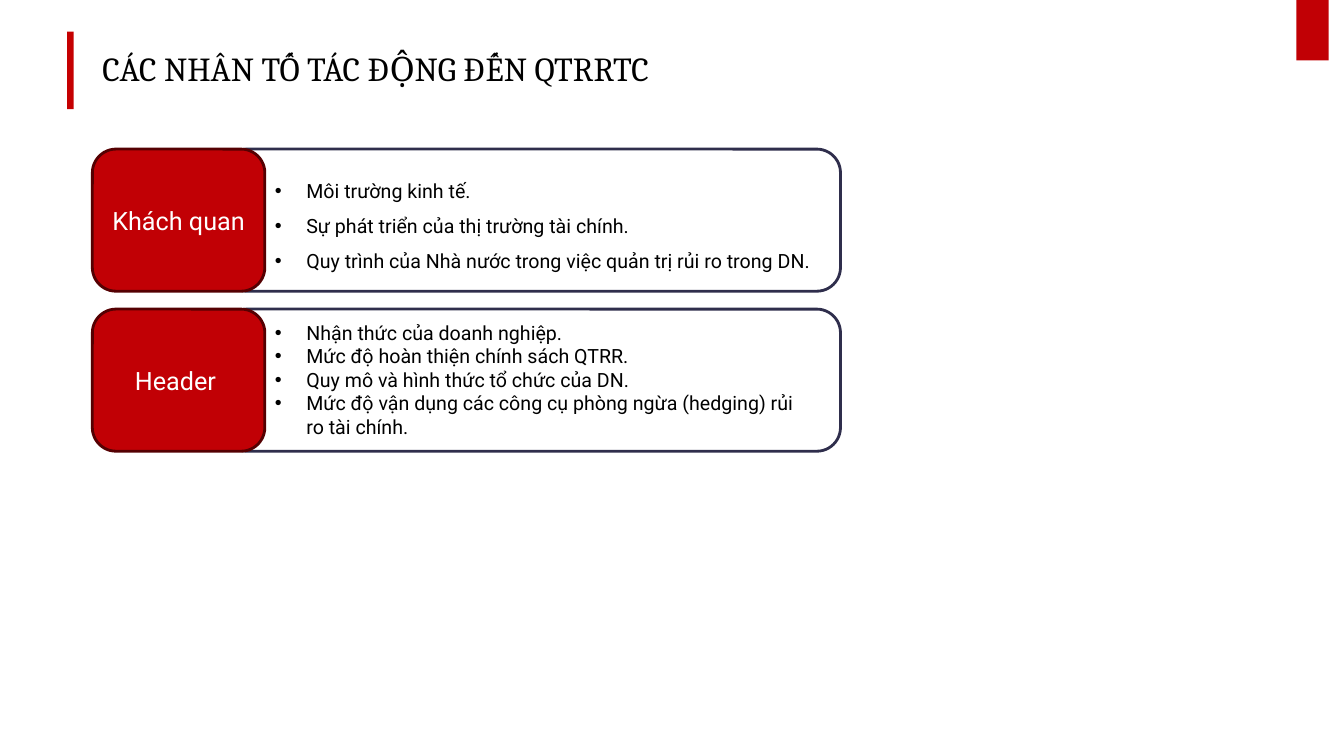
from lxml import etree
from pptx import Presentation
from pptx.dml.color import RGBColor
from pptx.enum.shapes import MSO_SHAPE
from pptx.enum.text import MSO_ANCHOR, PP_ALIGN
from pptx.oxml.ns import qn
from pptx.util import Pt

COLORS = {
    "corner": "C10005", "accent": "C50001", "label_line": "550002",
    "panel_line": "2F2E4C", "white": "FFFFFF", "black": "000000",
}
# Vietnamese tones are stored as combining marks after the base vowel.
VOWELS = "aâeêioôơuư"
TONES = {
    "\u0301": "áấéếíóốớúứ",
    "\u0300": "àầèềìòồờùừ",
    "\u0309": "ảẩẻểỉỏổởủử",
    "\u0323": "ạậẹệịọộợụự",
}
TONE_MARKS = {
    ord(case(toned)): case(vowel) + mark
    for mark, row in TONES.items()
    for vowel, toned in zip(VOWELS, row)
    for case in (str.lower, str.upper)
}
FACTORS = [
    ("Khách quan ", 9.2, 1.5, [
        "Môi trường kinh tế.",
        "Sự phát triển của thị trường tài chính.",
        "Quy trình của Nhà nước trong việc quản trị rủi ro trong DN.",
    ]),
    ("Header ", 4.8, 1.0, [
        "Nhận thức của doanh nghiệp.",
        "Mức độ hoàn thiện chính sách QTRR.",
        "Quy mô và hình thức tổ chức của DN.",
        "Mức độ vận dụng các công cụ phòng ngừa (hedging) rủi ro tài chính.",
    ]),
]


def rgb(name):
    """Return the named colour."""
    return RGBColor.from_string(COLORS[name])


def add_box(slide, kind, left, top, width, height, fill, line=None):
    """Add a filled shape, outlined if a line colour is given."""
    box = slide.shapes.add_shape(kind, Pt(left), Pt(top), Pt(width), Pt(height))
    box.shadow.inherit = False
    box.fill.solid()
    box.fill.fore_color.rgb = rgb(fill)
    if line:
        box.line.color.rgb = rgb(line)
        box.line.width = Pt(2)
    else:
        box.line.fill.background()
    return box


def add_text_box(slide, left, top, width, height):
    """Add a wrapping text box and return its text frame."""
    frame = slide.shapes.add_textbox(
        Pt(left), Pt(top), Pt(width), Pt(height)).text_frame
    frame.word_wrap = True
    return frame


def write(paragraph, text, size, color, font="Roboto"):
    """Put one styled run in a paragraph."""
    run = paragraph.add_run()
    run.text = text.translate(TONE_MARKS)
    run.font.name = font
    run.font.size = Pt(size)
    run.font.color.rgb = rgb(color)


def add_bullet(paragraph, indent=22.5):
    """Give a paragraph a black round bullet with a hanging indent."""
    props = paragraph._p.get_or_add_pPr()
    props.set("marL", str(Pt(indent)))
    props.set("indent", str(-Pt(indent)))
    color = etree.SubElement(props, qn("a:buClr"))
    etree.SubElement(color, qn("a:srgbClr"), val=COLORS["black"])
    etree.SubElement(props, qn("a:buFont"), typeface="Arial")
    etree.SubElement(props, qn("a:buChar"), char="•")


def add_corner(slide, left, top, width, height):
    """Draw the red block at the top right."""
    add_box(slide, MSO_SHAPE.RECTANGLE, left, top, width, height, "corner")


def add_header(slide, left, top, width, height):
    """Draw the accent bar and the title."""
    add_box(slide, MSO_SHAPE.RECTANGLE, left, top, 4.6, height, "accent")
    frame = add_text_box(slide, left + 18, top + 12, width - 18, 32)
    frame.vertical_anchor = MSO_ANCHOR.MIDDLE
    title = frame.paragraphs[0]
    title.line_spacing = 0.9
    write(title, "CÁC NHÂN TỐ TÁC ĐỘNG ĐẾN QTRRTC ", 24, "black", "Cambria")


def add_factor(slide, left, top, width, height, label, inset, spacing, items):
    """Draw one group of factors: panel, red label and bullet list."""
    label_width = 123.2
    panel_left = left + 93.6
    add_box(slide, MSO_SHAPE.ROUNDED_RECTANGLE, panel_left, top,
            left + width - panel_left, height, "white", "panel_line")
    tab = add_box(slide, MSO_SHAPE.ROUNDED_RECTANGLE, left, top,
                  label_width, height, "corner", "label_line")
    tab.text_frame.vertical_anchor = MSO_ANCHOR.MIDDLE
    heading = tab.text_frame.paragraphs[0]
    heading.alignment = PP_ALIGN.CENTER
    write(heading, label, 18, "white")

    frame = add_text_box(slide, left + label_width, top + inset,
                         width - label_width - 11.5, height - 2 * inset)
    for i, item in enumerate(items):
        paragraph = frame.add_paragraph() if i else frame.paragraphs[0]
        paragraph.line_spacing = spacing
        add_bullet(paragraph)
        write(paragraph, item, 14, "black")


def main():
    """Build the slide and save it."""
    prs = Presentation()
    prs.slide_width, prs.slide_height = Pt(960), Pt(540)
    slide = prs.slides.add_slide(prs.slide_layouts[6])
    add_corner(slide, 926, 0, 23, 43.2)
    add_header(slide, 48, 22.6, 846, 55.4)
    for i, factor in enumerate(FACTORS):
        add_factor(slide, 66, 106.5 + i * 114.3, 534.4, 101.5, *factor)
    prs.save("out.pptx")


main()
